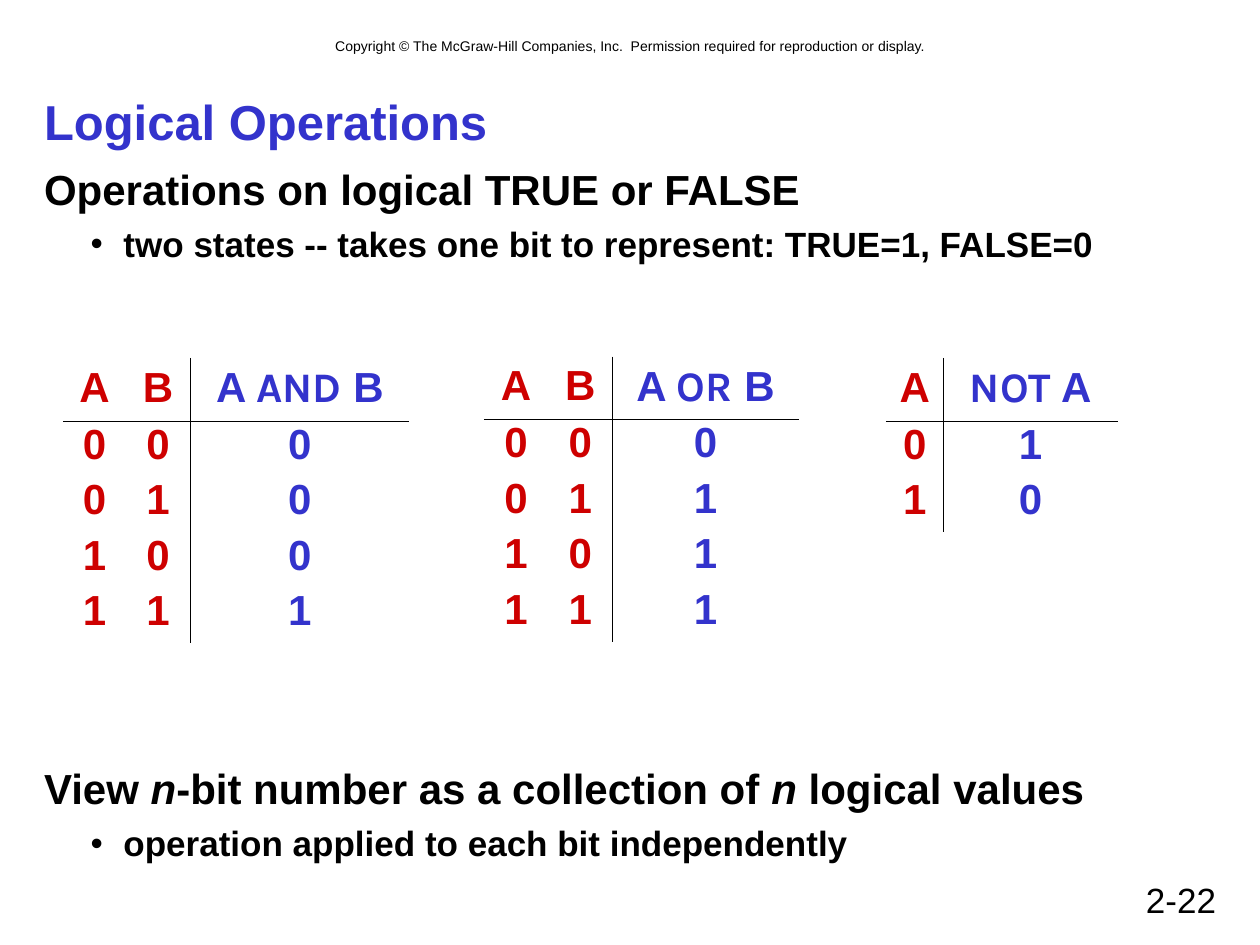
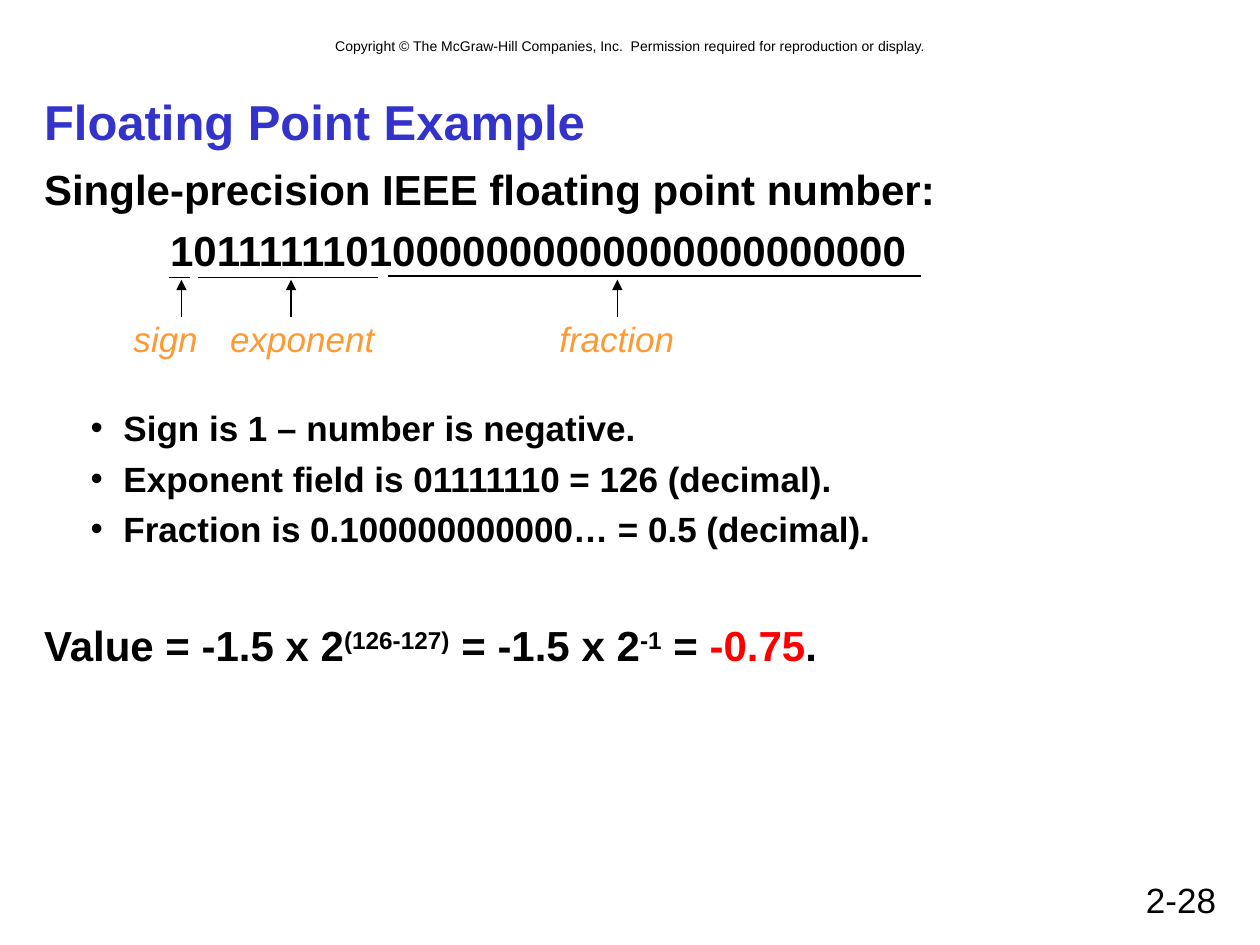
"""Build two slides on logical operations and floating point numbers."""
import pptx
import pptx.dml.color
import pptx.enum.shapes
import pptx.enum.text
import pptx.oxml.ns
import pptx.util
from lxml import etree

Inches = pptx.util.Inches
Pt = pptx.util.Pt
RGBColor = pptx.dml.color.RGBColor
PP_ALIGN = pptx.enum.text.PP_ALIGN
qn = pptx.oxml.ns.qn

BLUE = RGBColor(0x33, 0x33, 0xCC)
INPUT_RED = RGBColor(0xCE, 0x00, 0x00)
RESULT_RED = RGBColor(0xFF, 0x00, 0x00)
ORANGE = RGBColor(0xFF, 0x99, 0x33)
BLACK = RGBColor(0x00, 0x00, 0x00)
FONT = "Arial"
OPERATOR_FONT = "Karla"
NO_STYLE = "{2D5ABB26-0587-4C30-8999-92F81FD0307C}"
COPYRIGHT = ("Copyright © The McGraw-Hill Companies, Inc.  "
             "Permission required for reproduction or display.")


def write(paragraph, pieces, size, color, bold=False, italic=False):
    """Add the pieces as runs of one style and return the runs."""
    for piece in pieces:
        run = paragraph.add_run()
        run.text = piece
        run.font.name = FONT
        run.font.size = Pt(size)
        run.font.bold = bold
        run.font.italic = italic
        run.font.color.rgb = color
    return paragraph.runs


def add_label(slide, text, box, size, align, color=BLACK, italic=False, wrap=True):
    """Add a one-line text box."""
    frame = slide.shapes.add_textbox(*map(Inches, box)).text_frame
    frame.word_wrap = wrap
    frame.paragraphs[0].alignment = align
    write(frame.paragraphs[0], [text], size, color, italic=italic)


prs = pptx.Presentation()
prs.slide_width, prs.slide_height = Inches(10), Inches(7.5)

# Each body line: (left indent, text size), space before, pieces
HEADING, DIGITS, BULLET = (0, 24), (1, 24), (0.63, 20)
outlines = [
    ("Logical Operations", "2-22", 5.82, [
        (HEADING, 0, ["Operations on logical TRUE or FALSE"]),
        (BULLET, 5, ["two states -- takes one bit to represent: TRUE=1, FALSE=0"]),
        (HEADING, 284.5, ["View ", "n", "-bit number as a collection of ", "n",
                          " logical values"]),
        (BULLET, 5, ["operation applied to each bit independently"]),
    ]),
    ("Floating Point Example", "2-28", 5.42, [
        (HEADING, 0, ["Single-precision IEEE floating point number:"]),
        (DIGITS, 6, ["10111111010000000000000000000000"]),
        (BULLET, 75, ["Sign is 1 – number is negative."]),
        (BULLET, 5, ["Exponent field is 01111110 = 126 (decimal)."]),
        (BULLET, 5, ["Fraction is 0.100000000000… = 0.5 (decimal)."]),
        (HEADING, 40, ["Value = -1.5 x 2", "(126-127)", " = -1.5 x 2", "-1",
                       " = ", "-0.75", "."]),
    ]),
]

slides, bodies = [], []
for heading, page, body_height, lines in outlines:
    slide = prs.slides.add_slide(prs.slide_layouts[1])
    add_label(slide, COPYRIGHT, (0.67, 0.25, 8.67, 0.24), 8, PP_ALIGN.CENTER)
    add_label(slide, page, (7.17, 6.92, 2.58, 0.42), 20, PP_ALIGN.RIGHT)

    title, body = slide.placeholders
    for holder, top, height in ((title, 0.67, 0.58), (body, 1.25, body_height)):
        holder.left, holder.top = Inches(0.25), Inches(top)
        holder.width, holder.height = Inches(9.5), Inches(height)
        holder.text_frame.auto_size = pptx.enum.text.MSO_AUTO_SIZE.NONE
    title.text_frame.vertical_anchor = pptx.enum.text.MSO_ANCHOR.MIDDLE
    title.text_frame.paragraphs[0].alignment = PP_ALIGN.LEFT
    write(title.text_frame.paragraphs[0], [heading], 28, BLUE, bold=True)

    body.text_frame.margin_top = Inches(0.05)
    for index, (kind, gap, pieces) in enumerate(lines):
        paragraph = body.text_frame.paragraphs[0] if index == 0 else body.text_frame.add_paragraph()
        indent, size = kind
        properties = paragraph._p.get_or_add_pPr()
        properties.set("marL", str(Inches(indent)))
        if kind == BULLET:
            paragraph.level = 1
            properties.set("indent", str(Inches(-0.26)))
            bullet_color = etree.SubElement(properties, qn("a:buClr"))
            etree.SubElement(bullet_color, qn("a:srgbClr"), val=str(BLACK))
            etree.SubElement(properties, qn("a:buFont"), typeface=FONT)
            etree.SubElement(properties, qn("a:buChar"), char="•")
        else:
            properties.set("indent", "0")
            etree.SubElement(properties, qn("a:buNone"))
        paragraph.space_before = Pt(gap)
        write(paragraph, pieces, size, BLACK, bold=True)
    slides.append(slide)
    bodies.append(body.text_frame.paragraphs)

logic, floating = slides
for position in (1, 3):
    bodies[0][2].runs[position].font.italic = True
    bodies[1][5].runs[position].font._element.set("baseline", "30000")
bodies[1][5].runs[5].font.color.rgb = RESULT_RED

truth_tables = [
    (0.5, 2.84, (0.5, 0.51, 1.74), ["A", "B", ("A ", "AND", " B")],
     ["000", "010", "100", "111"]),
    (3.84, 2.83, (0.51, 0.51, 1.48), ["A", "B", ("A ", "OR", " B")],
     ["000", "011", "101", "111"]),
    (7.03, 2.84, (0.46, 1.38), ["A", ("NOT", " A")], ["01", "10"]),
]
for left, top, widths, header, values in truth_tables:
    rows = [header, *values]
    heights = [0.5] + [0.44] * len(values)
    frame = logic.shapes.add_table(len(rows), len(widths), Inches(left), Inches(top),
                                   Inches(sum(widths)), Inches(sum(heights)))
    table = frame.table
    table.first_row = table.horz_banding = False
    table._tbl.tblPr.find(qn("a:tableStyleId")).text = NO_STYLE
    for column, width in zip(table.columns, widths):
        column.width = Inches(width)
    result = len(widths) - 1
    for r, row in enumerate(rows):
        table.rows[r].height = Inches(heights[r])
        for c, value in enumerate(row):
            cell = table.cell(r, c)
            cell.fill.background()
            paragraph = cell.text_frame.paragraphs[0]
            paragraph.alignment = PP_ALIGN.CENTER
            if r > 0:
                paragraph.line_spacing = 0.85
            color = BLUE if c == result else INPUT_RED
            for run in write(paragraph, value, 24, color, bold=True):
                if len(run.text.strip()) > 1:
                    run.font.name = OPERATOR_FONT
            edges = [("a:lnL", c == result), ("a:lnR", c == result - 1), ("a:lnB", r == 0)]
            ruled = [edge for edge, drawn in edges if drawn]
            for place, edge in enumerate(ruled):
                border = etree.Element(qn(edge), w=str(Pt(0.45)))
                fill = etree.SubElement(border, qn("a:solidFill"))
                etree.SubElement(fill, qn("a:srgbClr"), val=str(BLACK))
                cell._tc.get_or_add_tcPr().insert(place, border)

fields = [
    ("sign", 1.34, 1.51, 2.2, 1.44, 0.91, 0.81),
    ("exponent", 1.57, 3, 2.2, 2.31, 1.65, 1.5),
    ("fraction", 3.08, 7.31, 2.19, 4.9, 4.29, 1.21),
]
for name, start, end, underline, pointer, label_left, label_width in fields:
    for is_arrow, ends in ((False, (start, underline, end, underline)),
                           (True, (pointer, 2.52, pointer, 2.22))):
        connector = floating.shapes.add_connector(
            pptx.enum.shapes.MSO_CONNECTOR.STRAIGHT, *map(Inches, ends))
        connector.line.color.rgb = BLACK
        connector.line.width = Pt(0.75)
        if is_arrow:
            etree.SubElement(connector.line._get_or_add_ln(), qn("a:tailEnd"), type="triangle")
        etree.SubElement(connector._element.spPr, qn("a:effectLst"))
    add_label(floating, name, (label_left, 2.47, label_width, 0.44), 20,
              PP_ALIGN.CENTER, ORANGE, italic=True, wrap=False)

prs.save("out.pptx")
